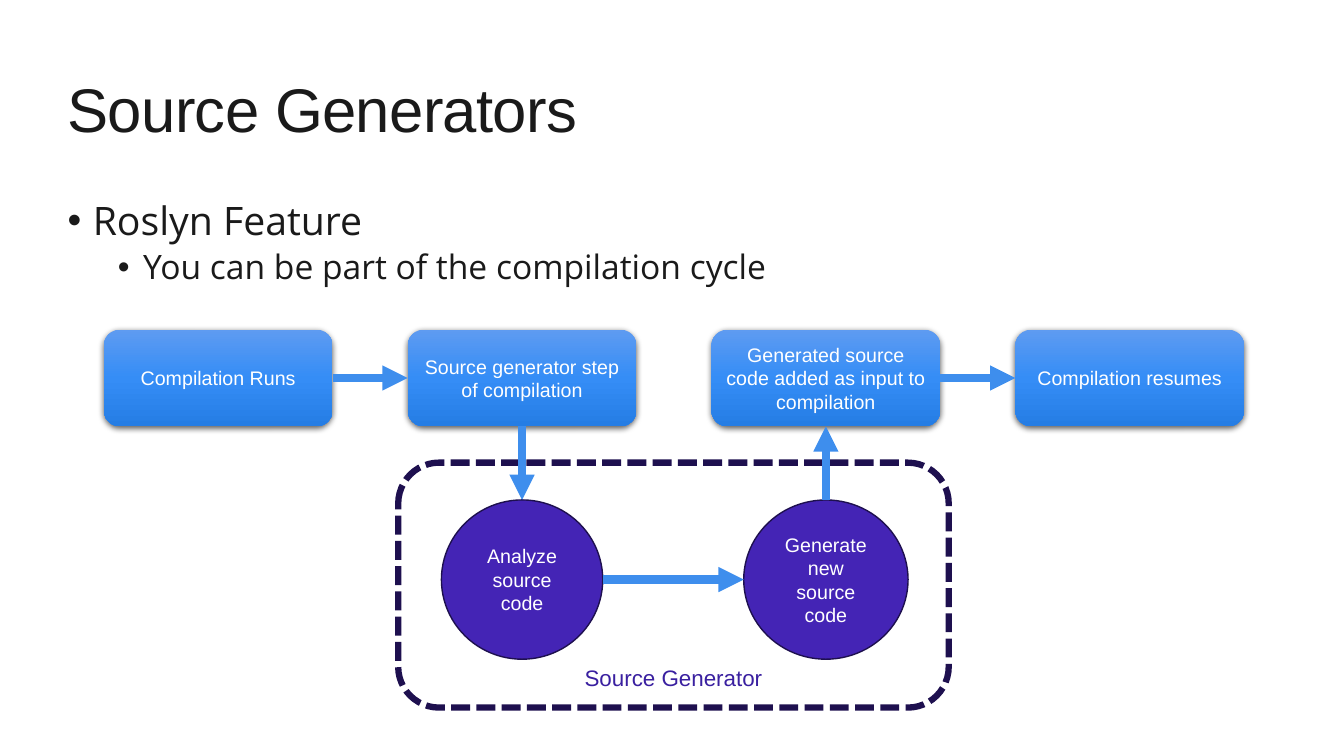
from pptx import Presentation
from pptx.dml.color import RGBColor
from pptx.enum import dml, shapes, text
from pptx.oxml import parse_xml
from pptx.oxml.ns import nsdecls, qn
from pptx.util import Inches, Pt
from lxml import etree

INK = RGBColor(0x1A, 0x1A, 0x1A)
WHITE = RGBColor(0xFF, 0xFF, 0xFF)
BLUE = RGBColor(0x3E, 0x8E, 0xED)
PURPLE = RGBColor(0x44, 0x24, 0xB5)
NAVY = RGBColor(0x1E, 0x10, 0x4F)
VIOLET = RGBColor(0x3A, 0x20, 0xA0)
SHADOW = RGBColor(0x00, 0x00, 0x00)
STEP_GRADIENT = [
    (0, RGBColor(0x5E, 0x9B, 0xF1)),
    (50, RGBColor(0x35, 0x8D, 0xF6)),
    (100, RGBColor(0x25, 0x7D, 0xE4)),
]

STEPS = [
    "Compilation Runs",
    "Source generator step of compilation",
    "Generated source code added as input to compilation",
    "Compilation resumes",
]
STEP_WIDTH, STEP_HEIGHT = 2.27, 0.96


def style_font(paragraph, name, size, color):
    for span in paragraph.runs:
        span.font.name = name
        span.font.size = Pt(size)
        span.font.color.rgb = color


def place_placeholder(box, left, top, width, height):
    box.left, box.top = Inches(left), Inches(top)
    box.width, box.height = Inches(width), Inches(height)
    frame = box.text_frame
    frame.margin_left = frame.margin_right = 0
    frame.margin_top = frame.margin_bottom = 0
    frame.word_wrap = True
    frame.auto_size = text.MSO_AUTO_SIZE.NONE
    return frame


def add_title(page, left, top, width, height):
    frame = place_placeholder(page.shapes.title, left, top, width, height)
    frame.text = "Source Generators"
    frame.vertical_anchor = text.MSO_ANCHOR.MIDDLE
    para = frame.paragraphs[0]
    para.alignment = text.PP_ALIGN.LEFT
    para.line_spacing = 0.9
    style_font(para, "Arial", 44, INK)
    para.runs[0].font._element.set("spc", "-50")


def add_bullets(page, left, top, width, height):
    frame = place_placeholder(page.placeholders[1], left, top, width, height)
    frame.text = "Roslyn Feature\nYou can be part of the compilation cycle"
    frame.vertical_anchor = text.MSO_ANCHOR.TOP
    for level, (para, size, space) in enumerate(zip(frame.paragraphs, (28, 24), (0, 5))):
        properties = para._p.get_or_add_pPr()
        properties.set("marL", str(Inches(0.25 + 0.5 * level)))
        properties.set("indent", str(Inches(-0.25)))
        etree.SubElement(properties, qn("a:buFont")).set("typeface", "Arial")
        etree.SubElement(properties, qn("a:buChar")).set("char", "•")
        para.level = level
        para.line_spacing = 0.9
        para.space_before = Pt(space)
        style_font(para, "Open Sans", size, INK)


def add_node(page, kind, label, left, top, width, height, size=14, color=WHITE):
    node = page.shapes.add_shape(
        kind, Inches(left), Inches(top), Inches(width), Inches(height))
    node.shadow.inherit = False
    frame = node.text_frame
    frame.text = label
    frame.word_wrap = True
    frame.vertical_anchor = text.MSO_ANCHOR.MIDDLE
    frame.paragraphs[0].alignment = text.PP_ALIGN.CENTER
    style_font(frame.paragraphs[0], "Arial", size, color)
    return node


def add_step(page, label, left, top):
    step = add_node(page, shapes.MSO_SHAPE.ROUNDED_RECTANGLE, label,
                    left, top, STEP_WIDTH, STEP_HEIGHT)
    step.line.fill.background()
    stops = "".join(
        f'<a:gs pos="{position * 1000}"><a:srgbClr val="{color}"/></a:gs>'
        for position, color in STEP_GRADIENT)
    properties = step._element.spPr
    properties.find(qn("a:prstGeom")).addnext(parse_xml(
        f'<a:gradFill {nsdecls("a")} rotWithShape="1"><a:gsLst>{stops}</a:gsLst>'
        '<a:lin ang="5400000" scaled="0"/></a:gradFill>'))
    properties.find(qn("a:effectLst")).append(parse_xml(
        f'<a:outerShdw {nsdecls("a")} blurRad="{Pt(4.5)}" dist="{Pt(1.5)}" '
        f'dir="5400000" algn="ctr" rotWithShape="0"><a:srgbClr val="{SHADOW}">'
        '<a:alpha val="63000"/></a:srgbClr></a:outerShdw>'))
    return step


def add_steps(page, left, top, width):
    pitch = (width - STEP_WIDTH) / (len(STEPS) - 1)
    return [add_step(page, label, left + pitch * index, top)
            for index, label in enumerate(STEPS)]


def add_circle(page, label, step, top, width, height):
    center = (step.left + step.width / 2) / Inches(1)
    circle = add_node(page, shapes.MSO_SHAPE.OVAL, label,
                      center - width / 2, top, width, height)
    circle.fill.solid()
    circle.fill.fore_color.rgb = PURPLE
    circle.line.color.rgb = NAVY
    circle.line.width = Pt(1)
    return circle


def add_generator(page, entry, leave, left, top, width, height):
    analyze = add_circle(page, "Analyze source code", entry, top + 0.37, 1.6, 1.58)
    generate = add_circle(page, "Generate new source code", leave, top + 0.37, 1.63, 1.58)
    outline = add_node(page, shapes.MSO_SHAPE.ROUNDED_RECTANGLE, "Source Generator",
                       left, top, width, height, 16, VIOLET)
    outline.text_frame.vertical_anchor = text.MSO_ANCHOR.BOTTOM
    outline.fill.background()
    outline.line.color.rgb = NAVY
    outline.line.width = Pt(4.5)
    outline.line.dash_style = dml.MSO_LINE.SQUARE_DOT
    return analyze, generate


def edge_point(node, across, down):
    return int(node.left + node.width * across), int(node.top + node.height * down)


def add_arrow(page, start, end):
    arrow = page.shapes.add_connector(shapes.MSO_CONNECTOR.STRAIGHT, *start, *end)
    arrow.line.color.rgb = BLUE
    arrow.line.width = Pt(6)
    etree.SubElement(arrow.line._get_or_add_ln(), qn("a:tailEnd")).set("type", "triangle")
    etree.SubElement(arrow._element.spPr, qn("a:effectLst"))


def add_arrows(page, steps, analyze, generate):
    runs, hook, added, resumes = steps
    for source, target in ((runs, hook), (added, resumes), (analyze, generate)):
        add_arrow(page, edge_point(source, 1, 0.5), edge_point(target, 0, 0.5))
    add_arrow(page, edge_point(hook, 0.5, 1), edge_point(analyze, 0.5, 0))
    add_arrow(page, edge_point(generate, 0.5, 0), edge_point(added, 0.5, 1))


def main():
    deck = Presentation()
    deck.slide_width, deck.slide_height = Inches(13.33), Inches(7.5)
    page = deck.slides.add_slide(deck.slide_layouts[1])
    add_title(page, 0.67, 0.67, 12, 0.9)
    add_bullets(page, 0.67, 2, 12, 1.47)
    steps = add_steps(page, 1.03, 3.27, 11.31)
    analyze, generate = add_generator(page, steps[1], steps[2], 3.95, 4.59, 5.46, 2.43)
    add_arrows(page, steps, analyze, generate)
    deck.save("out.pptx")


if __name__ == "__main__":
    main()
